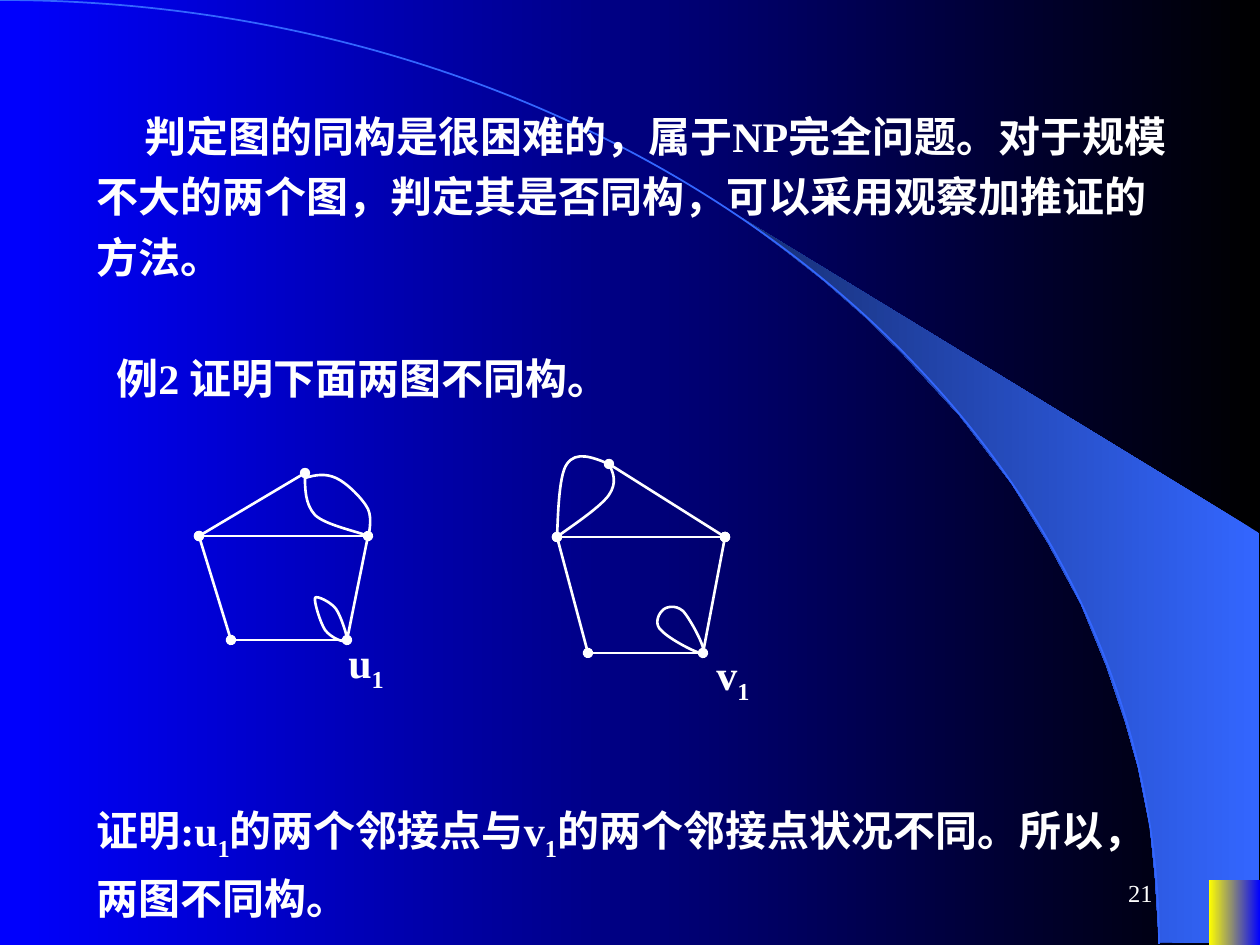
from dataclasses import dataclass

from pptx import Presentation
from pptx.dml.color import RGBColor
from pptx.enum.shapes import MSO_CONNECTOR, MSO_SHAPE
from pptx.enum.text import MSO_ANCHOR, PP_ALIGN
from pptx.oxml.ns import qn
from pptx.util import Emu, Pt
from lxml.etree import SubElement

EMU_PER_PX = 914400 / 126
FONT = "Times New Roman"
WHITE = RGBColor(0xFF, 0xFF, 0xFF)
BLACK = RGBColor(0x00, 0x00, 0x00)
BLUE = RGBColor(0x00, 0x00, 0xFF)
YELLOW = RGBColor(0xFF, 0xFF, 0x00)
ARC_BLUE = RGBColor(0x33, 0x66, 0xFF)
DARK_BLUE = RGBColor(0x17, 0x2F, 0x75)

Point = tuple[int, int]


@dataclass
class Edge:
    start: str
    end: str
    dots: bool = True


@dataclass
class Graph:
    vertices: dict[str, Point]
    edges: list[Edge]
    curves: list[list[Point]]  # start point, then three points per Bézier piece
    label: str
    label_at: Point


GRAPHS = [
    Graph(
        {"top": (305, 473), "left": (199, 536), "right": (368, 536),
         "low_left": (231, 640), "low_right": (347, 640)},
        [Edge("top", "left"), Edge("left", "right", False), Edge("left", "low_left"),
         Edge("low_left", "low_right", False), Edge("right", "low_right")],
        [[(305, 473), (305, 489), (305, 504), (315, 515), (325, 525), (359, 532), (368, 536)],
         [(305, 478), (315, 475), (325, 473), (336, 478), (347, 483), (363, 499),
          (368, 509), (373, 520), (368, 536), (368, 541)],
         [(347, 640), (345, 644), (331, 638), (325, 630), (320, 622), (314, 602),
          (315, 598), (316, 595), (331, 602), (336, 609), (341, 616), (348, 638), (347, 640)]],
        "u", (336, 630)),
    Graph(
        {"top": (609, 464), "left": (557, 537), "right": (725, 537),
         "low_left": (588, 653), "low_right": (703, 653)},
        [Edge("left", "right"), Edge("top", "right"), Edge("left", "low_left"),
         Edge("right", "low_right"), Edge("low_left", "low_right", False)],
        [[(609, 464), (592, 457), (576, 451), (567, 464), (558, 476), (558, 525), (557, 537)],
         [(609, 464), (614, 474), (617, 483), (609, 495), (600, 508), (566, 530), (557, 537)],
         [(703, 653), (701, 656), (669, 639), (662, 631), (654, 625), (658, 615),
          (662, 611), (665, 607), (675, 604), (683, 611), (689, 617), (707, 649), (703, 653)]],
        "v", (704, 642)),
]

SWOOSH = [(1159, 942), (1259, 944), (1259, 533), (742, 218), (786, 251), (823, 280),
          (863, 315), (902, 353), (960, 416), (1012, 484), (1048, 543), (1081, 604),
          (1106, 665), (1125, 721), (1138, 767), (1150, 827), (1155, 877)]
ARC = [(0, 0), (640, 0), (1159, 422), (1159, 944)]
ARC_CORNERS = [(-1159, 0), (1159, 1886)]  # frame of the whole ellipse


def px(n: int) -> Emu:
    return Emu(round(n * EMU_PER_PX))


def set_gradient(fill, first: RGBColor, last: RGBColor) -> None:
    fill.gradient()
    fill.gradient_angle = 180
    for stop, color in zip(fill.gradient_stops, (first, last)):
        stop.color.rgb = color


def add_outline(shapes, points: list[Point], closed: bool = True):
    emu = [(px(x), px(y)) for x, y in points]
    builder = shapes.build_freeform(*emu[0])
    builder.add_line_segments(emu[1:], close=closed)
    sp = builder.convert_to_shape()
    sp.shadow.inherit = False
    return sp


def add_curve(shapes, points: list[Point], color: RGBColor, width: float,
              corners: list[Point] | None = None) -> None:
    """Bézier outline in a frame given by two corners, else by its own points."""
    if corners is None:
        xs, ys = zip(*points)
        corners = [(min(xs), min(ys)), (max(xs), max(ys))]
    left, top = corners[0]
    sp = add_outline(shapes, corners, False)
    sp.fill.background()
    sp.line.color.rgb = color
    sp.line.width = Pt(width)

    # Swap the straight segment for cubic ones
    path = sp._element.spPr.find(".//" + qn("a:path"))
    for child in list(path):
        path.remove(child)
    pieces = [("a:moveTo", points[:1])]
    pieces += [("a:cubicBezTo", points[i:i + 3]) for i in range(1, len(points), 3)]
    for tag, piece in pieces:
        command = SubElement(path, qn(tag))
        for x, y in piece:
            SubElement(command, qn("a:pt"), x=str(px(x - left)), y=str(px(y - top)))
    if points[0] == points[-1]:
        SubElement(path, qn("a:close"))


def add_edge(shapes, start: Point, end: Point, dots: bool) -> None:
    line = shapes.add_connector(MSO_CONNECTOR.STRAIGHT, *map(px, start + end))
    line.line.color.rgb = WHITE
    line.line.width = Pt(1.5)
    if dots:
        ln = line._element.spPr.find(qn("a:ln"))
        for tag in ("a:headEnd", "a:tailEnd"):
            SubElement(ln, qn(tag), type="oval")
    SubElement(line._element.spPr, qn("a:effectLst"))


def add_text(shapes, box: tuple[int, int, int, int], paragraphs: list[list[str]], *,
             size: int = 24, bold: bool = True, spacing: float = 1.2, hang: int = 63,
             first_shift: int = 0, align=PP_ALIGN.LEFT, anchor=MSO_ANCHOR.TOP) -> None:
    """Each paragraph is a list of runs; every second run is a subscript."""
    tf = shapes.add_textbox(*map(px, box)).text_frame
    tf.word_wrap = True
    tf.vertical_anchor = anchor
    for i, runs in enumerate(paragraphs):
        p = tf.add_paragraph() if i else tf.paragraphs[0]
        p.alignment = align
        p.line_spacing = spacing
        if hang:
            pPr = p._p.get_or_add_pPr()
            pPr.set("marL", str(px(hang)))
            pPr.set("indent", str(px((0 if i else first_shift) - hang)))
        for j, text in enumerate(runs):
            r = p.add_run()
            r.text = text
            r.font.name = FONT
            r.font.size = Pt(size)
            r.font.bold = bold
            r.font.color.rgb = WHITE
            if j % 2:
                r.font._element.set("baseline", "-25000")


def add_graph(shapes, graph: Graph) -> None:
    group = shapes.add_group_shape().shapes
    for edge in graph.edges:
        add_edge(group, graph.vertices[edge.start], graph.vertices[edge.end], edge.dots)
    for curve in graph.curves:
        add_curve(group, curve, WHITE, 1.5)
    add_text(group, graph.label_at + (86, 71), [[graph.label, "1"]], spacing=1.0, hang=0)


def main() -> None:
    prs = Presentation()
    prs.slide_width, prs.slide_height = px(1260), px(945)
    s = prs.slides.add_slide(prs.slide_layouts[6])

    # Background, swoosh, arc and corner block
    set_gradient(s.background.fill, BLACK, BLUE)
    swoosh = add_outline(s.shapes, SWOOSH)
    set_gradient(swoosh.fill, ARC_BLUE, DARK_BLUE)
    swoosh.line.fill.background()
    add_curve(s.shapes, ARC, ARC_BLUE, 1, ARC_CORNERS)
    corner = s.shapes.add_shape(MSO_SHAPE.RECTANGLE, *map(px, (1209, 880, 51, 65)))
    corner.shadow.inherit = False
    set_gradient(corner.fill, BLUE, YELLOW)
    corner.line.fill.background()

    # Introduction and example
    add_text(s.shapes, (84, 94, 1134, 194),
             [["判定图的同构是很困难的，属于NP完全问题。对于规模"],
              ["不大的两个图，判定其是否同构，可以采用观察加推证的"],
              ["方法。"]], first_shift=48)
    add_text(s.shapes, (94, 336, 1134, 73), [["例2 证明下面两图不同构。"]], first_shift=10)

    # The two graphs
    for graph in GRAPHS:
        add_graph(s.shapes, graph)

    # Proof and page number
    add_text(s.shapes, (84, 787, 1134, 142),
             [["证明:u", "1", "的两个邻接点与v", "1", "的两个邻接点状况不同。所以，"],
              ["两图不同构。"]])
    add_text(s.shapes, (903, 861, 262, 63), [["21"]], size=14, bold=False, spacing=1.0,
             hang=0, align=PP_ALIGN.RIGHT, anchor=MSO_ANCHOR.MIDDLE)

    prs.save("out.pptx")


if __name__ == "__main__":
    main()
